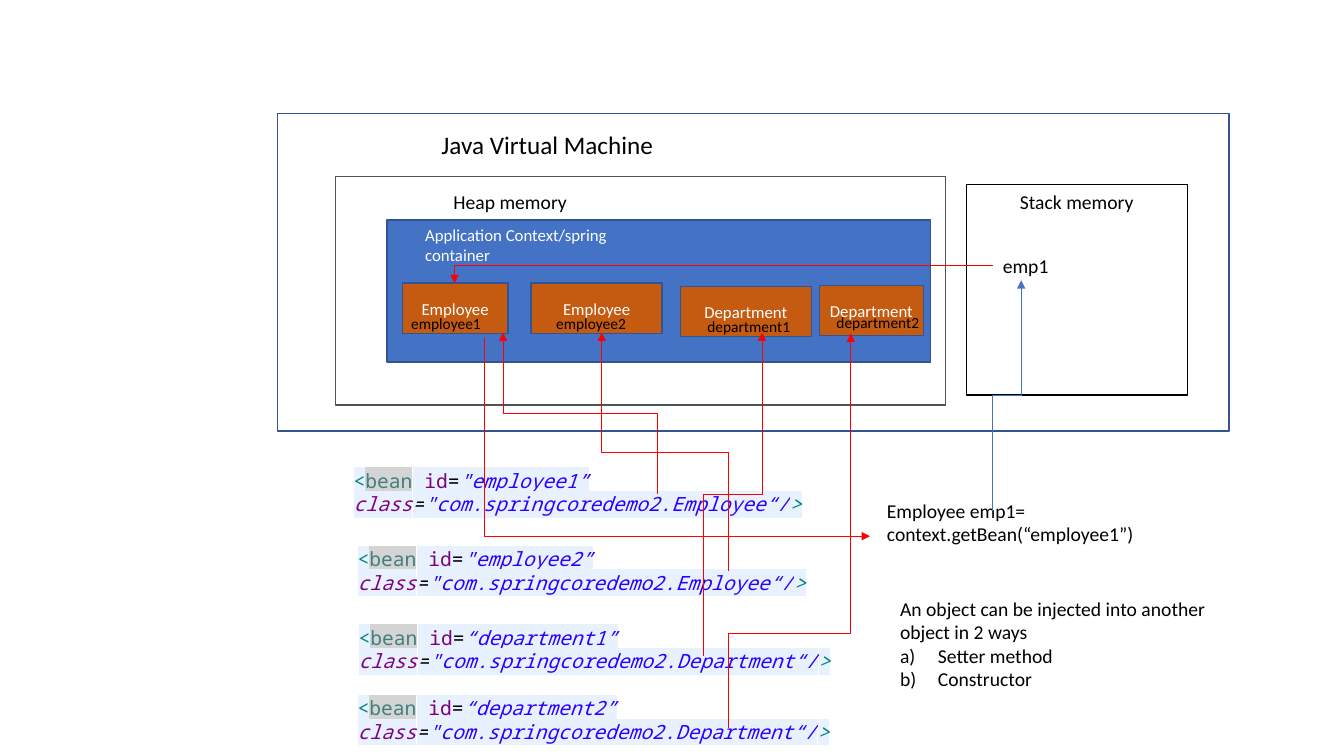
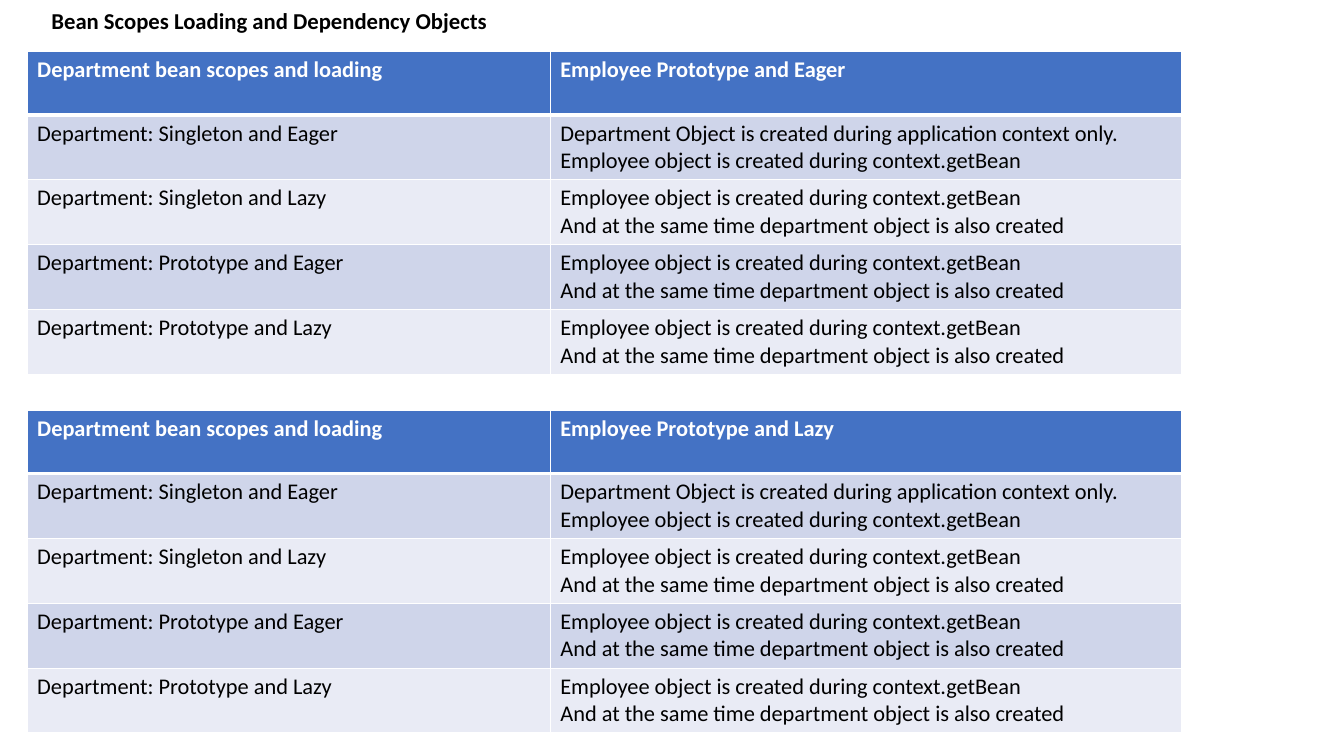
from lxml import etree
from pptx import Presentation
from pptx.dml.color import RGBColor
from pptx.enum.dml import MSO_THEME_COLOR
from pptx.enum.shapes import MSO_CONNECTOR, MSO_SHAPE
from pptx.enum.text import MSO_ANCHOR, PP_ALIGN
from pptx.oxml.ns import qn
from pptx.util import Pt

RECTANGLE = MSO_SHAPE.RECTANGLE
ELBOW = MSO_CONNECTOR.ELBOW
MIDDLE = MSO_ANCHOR.MIDDLE
LEFT, CENTER = PP_ALIGN.LEFT, PP_ALIGN.CENTER

WHITE = RGBColor(0xFF, 0xFF, 0xFF)
BLACK = RGBColor(0, 0, 0)
RED = RGBColor(0xFF, 0, 0)
BLUE = RGBColor(0x44, 0x72, 0xC4)
NAVY = RGBColor(0x32, 0x54, 0x91)
GRAY = RGBColor(0x52, 0x52, 0x52)
ORANGE = RGBColor(0xC5, 0x5A, 0x11)
BAND_DARK = RGBColor(0xCF, 0xD5, 0xEA)
BAND_LIGHT = RGBColor(0xE9, 0xEB, 0xF5)
CODE_BRACKET = RGBColor(0, 0x80, 0x80)
CODE_TAG = RGBColor(0x3F, 0x7F, 0x7F)
CODE_ATTRIBUTE = RGBColor(0x7F, 0, 0x7F)
CODE_VALUE = RGBColor(0x2A, 0, 0xFF)
CODE_BACK = RGBColor(0xE8, 0xF2, 0xFE)
TAG_BACK = RGBColor(0xD4, 0xD4, 0xD4)
BODY_FONT, CODE_FONT = "Calibri", "Noto Sans Mono"


def write(para, text, size=14, color=BLACK, font=BODY_FONT, bold=False,
          italic=False, highlight=None, align=LEFT):
    """Add one formatted run to a paragraph."""
    para.alignment = align
    span = para.add_run()
    span.text = text
    span.font.size = Pt(size)
    span.font.name = font
    span.font.bold = bold
    span.font.italic = italic
    span.font.color.rgb = color
    if highlight is not None:
        mark = etree.Element(qn("a:highlight"))
        etree.SubElement(mark, qn("a:srgbClr"), val=str(highlight))
        span.font.fill  # the colour element must come before the highlight
        span.font._element.find(qn("a:solidFill")).addnext(mark)


def add_box(page, bounds, fill=None, line=None):
    """Add a wrapping text box, or a rectangle when a fill is given."""
    bounds = [Pt(length) for length in bounds]
    if fill is None:
        box = page.shapes.add_textbox(*bounds)
    else:
        box = page.shapes.add_shape(RECTANGLE, *bounds)
        box.shadow.inherit = False
        box.fill.solid()
        box.fill.fore_color.rgb = fill
        box.line.color.rgb = line
        box.line.width = Pt(1)
        box.text_frame.vertical_anchor = MIDDLE
    box.text_frame.word_wrap = True
    return box


deck = Presentation()
deck.slide_width, deck.slide_height = Pt(960), Pt(540)

# Slide 1: memory diagram
page = deck.slides.add_slide(deck.slide_layouts[6])

# Memory areas, from outer to inner
areas = [
    ((198, 81, 680, 226.8), WHITE, NAVY),
    ((239.8, 126, 435.6, 163.4), WHITE, GRAY),
    ((276.5, 157, 388, 101.5), BLUE, NAVY),
    ((690.5, 131.8, 157.7, 150.5), WHITE, BLACK),
]
for bounds, fill, line in areas:
    add_box(page, bounds, fill, line)

# Area labels and the call
labels = [
    ("Java Virtual Machine", (308.2, 88.6, 209.5, 28.8), 18, BLACK),
    ("Heap memory", (316.8, 131.8, 152.6, 24.5), 14, BLACK),
    ("Application Context/spring container", (296.6, 157, 183.6, 36), 12, WHITE),
    ("Stack memory", (721.4, 131.8, 152.6, 24.5), 14, BLACK),
    ("emp1", (709.2, 177.8, 77.8, 24.5), 14, BLACK),
    ("Employee emp1= context.getBean(“employee1”)",
     (626.4, 352.8, 267.1, 41), 14, BLACK),
]
for text, bounds, size, color in labels:
    box = add_box(page, bounds)
    write(box.text_frame.paragraphs[0], text, size=size, color=color)

# Beans: object, its name, and its XML definition
beans = [
    ("Employee", '"employee1”', (287.3, 202.3, 75.6), (286.6, 221), (245.5, 331.2)),
    ("Employee", '"employee2”', (379.4, 202.3, 93.6), (390.2, 221), (248.4, 387.4)),
    ("Department", "“department1”", (486, 204.5, 93.6), (498.2, 223.2), (249.1, 443.5)),
    ("Department", "“department2”", (585.4, 203.8, 74.2), (590.4, 220.3), (248.4, 493.9)),
]
for kind, quoted, object_at, name_at, code_at in beans:
    box = add_box(page, (*object_at, 36), ORANGE, NAVY)
    write(box.text_frame.paragraphs[0], kind, size=12, color=WHITE, align=CENTER)
    box = add_box(page, (*name_at, 120.2, 20.9))
    write(box.text_frame.paragraphs[0], quoted[1:-1], size=11)
    box = add_box(page, (*code_at, 470.9, 41))
    code = [
        ("<", CODE_BRACKET, False),
        ("bean", CODE_TAG, False),
        (" ", CODE_TAG, False),
        ("id", CODE_ATTRIBUTE, False),
        ("=", BLACK, False),
        (quoted + " ", CODE_VALUE, True),
        ("class", CODE_ATTRIBUTE, True),
        ("=", BLACK, True),
        (f'"com.springcoredemo2.{kind}“/', CODE_VALUE, True),
        (">", CODE_BRACKET, True),
    ]
    for text, color, italic in code:
        write(box.text_frame.paragraphs[0], text, color=color, font=CODE_FONT,
              italic=italic, highlight=TAG_BACK if text == "bean" else CODE_BACK)

# Injection note with lettered items
box = add_box(page, (635.8, 422.6, 250.6, 74.9))
write(box.text_frame.paragraphs[0],
      "An object can be injected into another object in 2 ways")
for text in ("Setter method", "Constructor"):
    para = box.text_frame.add_paragraph()
    write(para, text)
    properties = para._p.get_or_add_pPr()
    properties.set("marL", str(Pt(27)))
    properties.set("indent", str(-Pt(27)))
    etree.SubElement(properties, qn("a:buAutoNum"), type="alphaLcParenR")

# Elbow arrows: start, end, colour, arrowhead end, bend (None for one corner)
arrows = [
    ((469.4, 352.8), (359.3, 237.6), RED, "tailEnd", 0.5),
    ((520.6, 408.2), (429.8, 237.6), RED, "tailEnd", 0.5),
    ((502.6, 468.7), (544.3, 237.6), RED, "tailEnd", 0.5),
    ((520.6, 519.8), (607.7, 238.3), RED, "tailEnd", 0.24),
    ((708.5, 365), (729.4, 200.2), BLUE, "tailEnd", 0.5),
    ((621.4, 383), (346.3, 241.2), RED, "headEnd", None),
    ((709.2, 189.4), (324.7, 202.3), RED, "tailEnd", None),
]
for (x1, y1), (x2, y2), color, arrowhead, bend in arrows:
    width, height = abs(x2 - x1), abs(y2 - y1)
    if bend is None:  # leaves to the left
        turn, flips = 180, ["flipV"] if y2 > y1 else []
    else:  # leaves upwards: the unrotated frame lies on its side
        width, height = height, width
        turn, flips = (90, ["flipH", "flipV"]) if x2 > x1 else (270, ["flipV"])
    left, top = (x1 + x2 - width) / 2, (y1 + y2 - height) / 2
    arrow = page.shapes.add_connector(
        ELBOW, Pt(left), Pt(top), Pt(left + width), Pt(top + height))
    arrow.line.color.rgb = color
    arrow.line.width = Pt(0.5)
    properties = arrow._element.spPr
    frame = properties.find(qn("a:xfrm"))
    frame.set("rot", str(turn * 60000))
    for flip in flips:
        frame.set(flip, "1")
    geometry = properties.find(qn("a:prstGeom"))
    if bend is None:
        geometry.set("prst", "bentConnector2")
    else:
        guides = geometry.find(qn("a:avLst"))
        etree.SubElement(guides, qn("a:gd"), name="adj1",
                         fmla=f"val {round(bend * 100000)}")
    etree.SubElement(properties.find(qn("a:ln")), qn("a:" + arrowhead),
                     type="triangle")
    etree.SubElement(properties, qn("a:effectLst"))

# Slide 2: scope tables
page = deck.slides.add_slide(deck.slide_layouts[5])
title = page.shapes.title
title.left, title.top, title.width, title.height = Pt(29.5), Pt(5), Pt(828), Pt(22.3)
title.text_frame.vertical_anchor = MIDDLE
para = title.text_frame.paragraphs[0]
para.line_spacing = 0.9
write(para, "Bean Scopes Loading and Dependency Objects", size=16.2, bold=True)

ON_CALL = "Employee object is created during context.getBean"
BOTH = [ON_CALL, "And at the same time department object is also created"]
scopes = [
    ("Singleton and Eager",
     ["Department Object is created during application context only.", ON_CALL]),
    ("Singleton and Lazy", BOTH),
    ("Prototype and Eager", BOTH),
    ("Prototype and Lazy", BOTH),
]
for loading, top in (("Eager", 36.7), ("Lazy", 293)):
    rows = [(["Department bean scopes and loading"],
             [f"Employee Prototype and {loading}"])]
    rows += [([f"Department: {scope}"], effect) for scope, effect in scopes]
    table = page.shapes.add_table(
        len(rows), 2, Pt(19.4), Pt(top), Pt(824.4), Pt(229)).table
    table.columns[0].width, table.columns[1].width = Pt(373.7), Pt(450.7)
    for row, texts in enumerate(rows):
        header = row == 0
        table.rows[row].height = Pt(45.2 if header else 46.3)
        for column, lines in enumerate(texts):
            cell = table.cell(row, column)
            cell.fill.solid()
            cell.fill.fore_color.rgb = (
                BLUE if header else BAND_DARK if row % 2 else BAND_LIGHT)
            for number, text in enumerate(lines):
                frame = cell.text_frame
                para = frame.add_paragraph() if number else frame.paragraphs[0]
                write(para, text, size=16, bold=header,
                      color=WHITE if header else BLACK)
            # White borders, thick below the header
            for place, side in enumerate(("lnL", "lnR", "lnT", "lnB")):
                thick = (row, side) in ((0, "lnB"), (1, "lnT"))
                border = etree.Element(qn("a:" + side), w=str(Pt(3 if thick else 1)))
                paint = etree.SubElement(border, qn("a:solidFill"))
                etree.SubElement(paint, qn("a:srgbClr"), val=str(WHITE))
                cell._tc.tcPr.insert(place, border)

deck.save("out.pptx")
